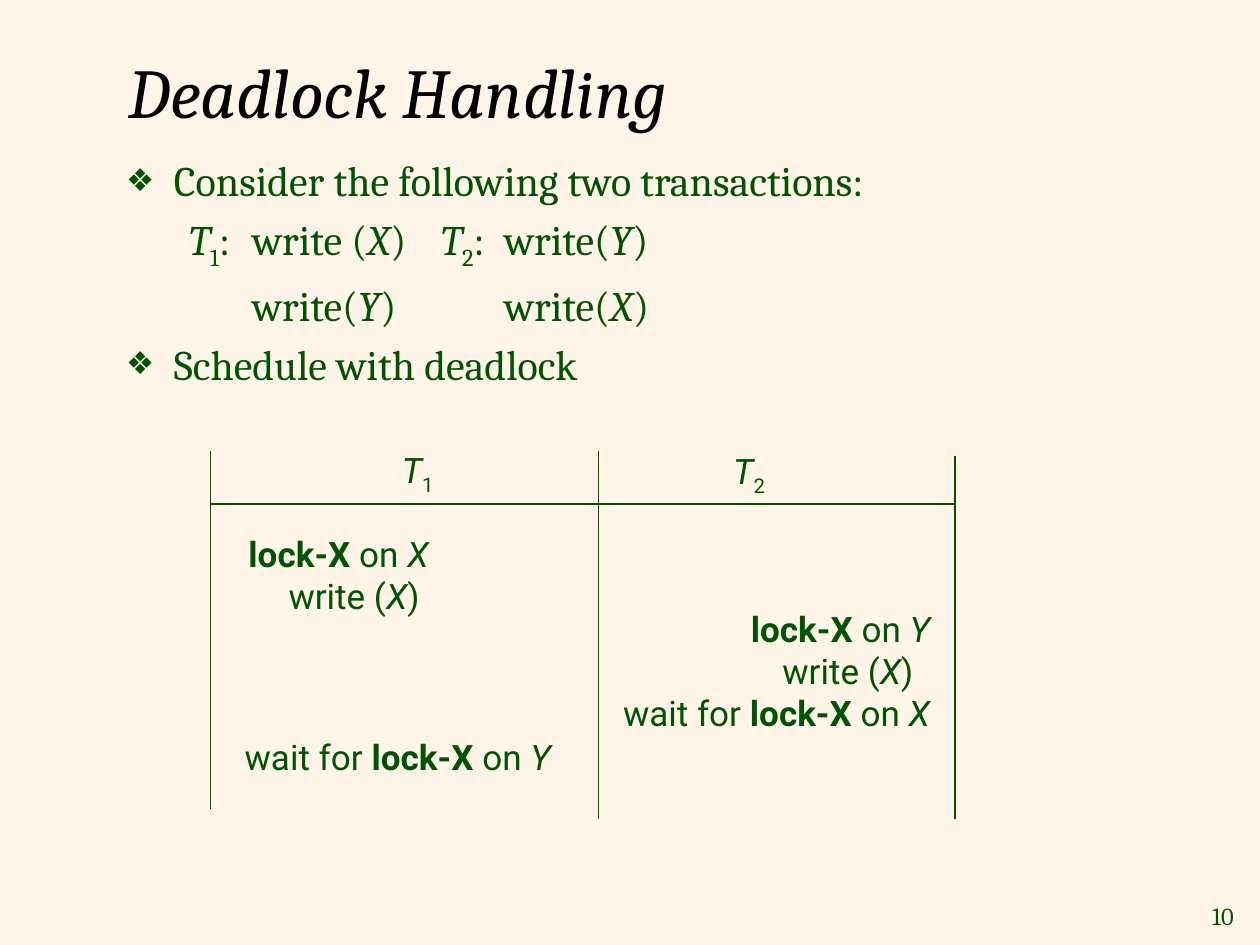
from dataclasses import dataclass

from lxml import etree
from pptx import Presentation
from pptx.dml.color import RGBColor
from pptx.enum.shapes import MSO_CONNECTOR
from pptx.enum.text import MSO_ANCHOR, MSO_AUTO_SIZE, PP_ALIGN
from pptx.oxml.ns import qn
from pptx.util import Inches, Pt

LEFT, RIGHT = PP_ALIGN.LEFT, PP_ALIGN.RIGHT
TOP, MIDDLE = MSO_ANCHOR.TOP, MSO_ANCHOR.MIDDLE
NO_FIT = MSO_AUTO_SIZE.NONE
STRAIGHT = MSO_CONNECTOR.STRAIGHT


@dataclass(frozen=True)
class Theme:
    """Colours, fonts and type sizes of the slide."""
    background: RGBColor = RGBColor(0xFF, 0xF6, 0xE9)
    green: RGBColor = RGBColor(0x00, 0x54, 0x00)
    black: RGBColor = RGBColor(0, 0, 0)
    serif: str = "Cambria"
    sans: str = "Roboto"
    title_size: int = 40
    body_size: int = 24
    schedule_size: int = 20
    number_size: int = 14
    line_width: float = 0.75


THEME = Theme()
TAB_STOPS = (0.95, 1.63, 3.97, 4.6)

# Each line is a list of pieces: plain text, or (text, style).
X, Y, T = ("X", "italic"), ("Y", "italic"), ("T", "italic")
LOCK = ("lock-X", "bold")
ONE, TWO = ("1", "subscript"), ("2", "subscript")

BULLETED_LINES = [
    (True, ["Consider the following two transactions:"]),
    (False, ["\t", T, ONE, ":\twrite (", X, ")\t", T, TWO, ":\twrite(", Y, ")"]),
    (False, ["\t\twrite(", Y, ")\t\twrite(", X, ")"]),
    (True, ["Schedule with deadlock"]),
]

# Box, then lines with their left indent (None means flush right).
SCHEDULE = [
    ((3.07, 3.51, 0.47, 0.43), [(None, [T, ONE])]),
    ((5.7, 3.52, 0.47, 0.43), [(None, [T, TWO])]),
    ((1.82, 4.18, 1.68, 0.77),
     [(None, [LOCK, " on ", X]), (0.47, ["write (", X, ")"])]),
    ((4.83, 4.77, 2.65, 1.1),
     [(None, [LOCK, " on ", Y]), (1.38, ["write (", X, ")"]),
      (None, ["wait for ", LOCK, " on ", X])]),
    ((1.82, 5.79, 2.65, 0.43), [(None, ["wait for ", LOCK, " on ", Y])]),
]

RULES = [
    (1.67, 4, 7.58, 4),
    (1.67, 3.58, 1.67, 6.42),
    (4.75, 3.58, 4.75, 6.5),
    (7.58, 3.62, 7.58, 6.5),
]


def set_values(target, values):
    """Set attributes of an object from a dict."""
    for name, value in values.items():
        setattr(target, name, value)


def place(shape, box):
    """Move and size a shape, in inches."""
    names = ("left", "top", "width", "height")
    set_values(shape, dict(zip(names, map(Inches, box))))


def write_line(paragraph, pieces, font_name, size, color):
    """Write styled pieces of text into a paragraph."""
    for piece in pieces:
        text, style = piece if isinstance(piece, tuple) else (piece, "plain")
        run = paragraph.add_run()
        run.text = text
        set_values(run.font, {"name": font_name, "size": Pt(size),
                              "bold": style == "bold",
                              "italic": style == "italic"})
        run.font.color.rgb = color
        if style == "subscript":
            run.font._element.set("baseline", "-25000")


def next_paragraph(frame, index):
    """Return the first paragraph of a frame, or a new one after it."""
    return frame.add_paragraph() if index else frame.paragraphs[0]


def set_indent(paragraph, left, first=0):
    """Set the left and first-line indents, in inches."""
    properties = paragraph._p.get_or_add_pPr()
    properties.set("marL", str(Inches(left)))
    properties.set("indent", str(Inches(first)))
    return properties


def add_bullet(paragraph):
    """Give a paragraph a hanging diamond bullet."""
    properties = set_indent(paragraph, 0.38, -0.38)
    color = etree.SubElement(properties, qn("a:buClr"))
    etree.SubElement(color, qn("a:srgbClr"), val=str(THEME.green))
    etree.SubElement(properties, qn("a:buSzPct"), val="75000")
    etree.SubElement(properties, qn("a:buChar"), char="❖")


def add_tab_stops(paragraph):
    """Give an unbulleted paragraph the columns of the transactions."""
    properties = set_indent(paragraph, 0)
    etree.SubElement(properties, qn("a:buNone"))
    tabs = etree.SubElement(properties, qn("a:tabLst"))
    for position in TAB_STOPS:
        etree.SubElement(tabs, qn("a:tab"), pos=str(Inches(position)), algn="l")


def fill_title(title):
    """Place and write the slide title."""
    place(title, (0.92, 0.46, 8.5, 0.51))
    frame = title.text_frame
    set_values(frame, {"auto_size": NO_FIT, "vertical_anchor": MIDDLE})
    paragraph = frame.paragraphs[0]
    paragraph.alignment = LEFT
    write_line(paragraph, [("Deadlock Handling", "italic")],
               THEME.serif, THEME.title_size, THEME.black)


def fill_body(body):
    """Place and write the bulleted list with the two transactions."""
    place(body, (0.9, 1.18, 8.38, 5.36))
    frame = body.text_frame
    set_values(frame, {"auto_size": NO_FIT, "vertical_anchor": TOP})
    for index, (bulleted, pieces) in enumerate(BULLETED_LINES):
        paragraph = next_paragraph(frame, index)
        if bulleted:
            add_bullet(paragraph)
        else:
            add_tab_stops(paragraph)
        write_line(paragraph, pieces, THEME.serif, THEME.body_size, THEME.green)


def add_text(slide, box, lines, font_name, size):
    """Add a text box of flush-right or indented lines."""
    frame = slide.shapes.add_textbox(*map(Inches, box)).text_frame
    set_values(frame, {"word_wrap": True, "auto_size": NO_FIT, "margin_left": 0})
    for index, (indent, pieces) in enumerate(lines):
        paragraph = next_paragraph(frame, index)
        paragraph.alignment = RIGHT if indent is None else LEFT
        if indent is not None:
            set_indent(paragraph, indent)
        write_line(paragraph, pieces, font_name, size, THEME.green)


def add_rule(slide, ends):
    """Add one thin line of the schedule grid."""
    line = slide.shapes.add_connector(STRAIGHT, *map(Inches, ends))
    line.line.color.rgb = THEME.green
    line.line.width = Pt(THEME.line_width)
    etree.SubElement(line._element.spPr, qn("a:effectLst"))


def main():
    """Build and save the slide."""
    presentation = Presentation()
    set_values(presentation, {"slide_width": Inches(10), "slide_height": Inches(7.5)})
    slide = presentation.slides.add_slide(presentation.slide_layouts[1])
    slide.background.fill.solid()
    slide.background.fill.fore_color.rgb = THEME.background

    fill_title(slide.shapes.title)
    fill_body(slide.placeholders[1])
    for ends in RULES:
        add_rule(slide, ends)
    for box, lines in SCHEDULE:
        add_text(slide, box, lines, THEME.sans, THEME.schedule_size)
    add_text(slide, (9.45, 7.1, 0.44, 0.33), [(None, ["10"])],
             THEME.serif, THEME.number_size)
    presentation.save("out.pptx")


main()
